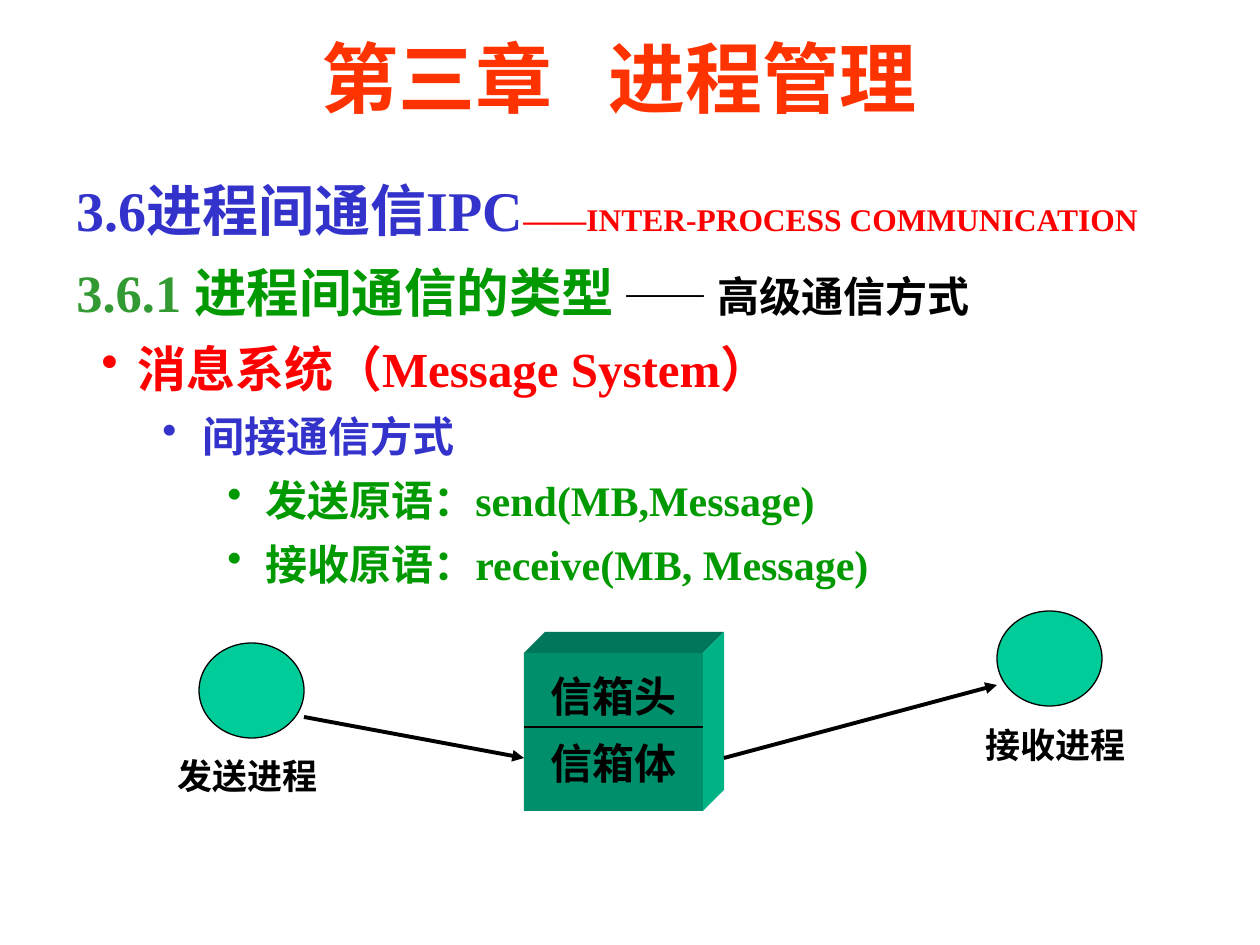
from lxml.etree import SubElement
from pptx import Presentation
from pptx.dml.color import RGBColor
from pptx.enum.shapes import MSO_CONNECTOR, MSO_SHAPE
from pptx.enum.text import MSO_ANCHOR, MSO_AUTO_SIZE, PP_ALIGN
from pptx.oxml.ns import qn
from pptx.util import Pt

SCALE = 914400 / 126
COLORS = {
    "title": "FF3300", "blue": "3333CC", "red": "FF0000", "teal": "339933",
    "green": "009900", "black": "000000", "circle": "00CC99",
    "front": "008F6B", "top": "007759", "side": "00B386",
}


def px(*lengths):
    return [round(v * SCALE) for v in lengths]


def write(p, runs, before=0):
    """Add (text, size, colour) runs to p; before is the space above in percent."""
    for text, size, color in runs:
        r = p.add_run()
        r.text = text
        r.font.name = "Times New Roman"
        r.font.size = Pt(size)
        r.font.bold = True
        r.font.color.rgb = RGBColor.from_string(COLORS[color])
    if before:
        p.space_before = Pt(0)
        spacing = p._p.pPr.find(qn("a:spcBef"))
        spacing.remove(spacing[0])
        SubElement(spacing, qn("a:spcPct"), val=str(before * 1000))


prs = Presentation()
prs.slide_width, prs.slide_height = px(1260, 945)
s = prs.slides.add_slide(prs.slide_layouts[6])

# Outline: level, left margin, indent, runs
outline = [
    (0, 0, 0, [("3.6进程间通信IPC", 32, "blue"),
               ("——INTER-PROCESS COMMUNICATION", 18, "red")]),
    (0, 0, 0, [("3.6.1 ", 30, "teal"), ("进程间通信的类型", 30, "green"),
               (" ", 24, "green"), ("—— 高级通信方式", 24, "black")]),
    (1, 61, -36, [("消息系统（Message System）", 28, "red")]),
    (2, 126, -40, [("间接通信方式", 24, "blue")]),
    (3, 189, -38, [("发送原语：send(MB,Message)", 24, "green")]),
    (3, 189, -38, [("接收原语：receive(MB, Message)", 24, "green")]),
]
tf = s.shapes.add_textbox(*px(64, 163, 1132, 441)).text_frame
tf.word_wrap = True
for i, (level, margin, indent, runs) in enumerate(outline):
    p = tf.add_paragraph() if i else tf.paragraphs[0]
    p.level = level
    p.line_spacing = 1.1
    write(p, runs, before=20)
    if level:
        pPr = p._p.get_or_add_pPr()
        pPr.set("marL", str(px(margin)[0]))
        pPr.set("indent", str(px(indent)[0]))
        SubElement(pPr, qn("a:buChar"), char="•")

# Mailbox: front face with an oblique top and side
left, top, right, bottom, depth = 524, 653, 703, 811, 21
faces = [
    ("top", [(left, top), (left + depth, top - depth),
             (right + depth, top - depth), (right, top)]),
    ("side", [(right, top), (right + depth, top - depth),
              (right + depth, bottom - depth), (right, bottom)]),
]
for color, points in faces:
    builder = s.shapes.build_freeform(*points[0], scale=SCALE)
    builder.add_line_segments(points[1:])
    sp = builder.convert_to_shape()
    sp.shadow.inherit = False
    sp.fill.solid()
    sp.fill.fore_color.rgb = RGBColor.from_string(COLORS[color])
    sp.line.fill.background()

front = s.shapes.add_shape(MSO_SHAPE.RECTANGLE, *px(left, top, right - left, bottom - top))
front.shadow.inherit = False
front.fill.solid()
front.fill.fore_color.rgb = RGBColor.from_string(COLORS["front"])
front.line.fill.background()
tf = front.text_frame
tf.word_wrap = False
tf.vertical_anchor = MSO_ANCHOR.MIDDLE
tf.margin_top = px(1)[0]
for i, text in enumerate(["信箱头", "信箱体"]):
    p = tf.add_paragraph() if i else tf.paragraphs[0]
    p.alignment = PP_ALIGN.CENTER
    write(p, [(text, 24, "black")], before=40)

# Processes: name, circle position, label position and width
processes = [
    ("发送进程", 199, 643, 165, 748, 168),
    ("接收进程", 997, 611, 973, 717, 173),
]
for name, x, y, label_x, label_y, label_w in processes:
    sp = s.shapes.add_shape(MSO_SHAPE.OVAL, *px(x, y, 105, 95))
    sp.shadow.inherit = False
    sp.fill.solid()
    sp.fill.fore_color.rgb = RGBColor.from_string(COLORS["circle"])
    sp.line.color.rgb = RGBColor.from_string(COLORS["black"])
    sp.line.width = Pt(0.75)
    tf = s.shapes.add_textbox(*px(label_x, label_y, label_w, 54)).text_frame
    tf.word_wrap = True
    tf.auto_size = MSO_AUTO_SIZE.SHAPE_TO_FIT_TEXT
    write(tf.paragraphs[0], [(name, 20, "black")], before=50)

# Mailbox divider and the two message arrows: ends, width, arrowhead
lines = [
    (left, 727, right, 727, 0.75, False),
    (304, 717, left, 758, 2.25, True),
    (right + depth, 758, 997, 685, 2.25, True),
]
for x1, y1, x2, y2, width, arrow in lines:
    line = s.shapes.add_connector(MSO_CONNECTOR.STRAIGHT, *px(x1, y1, x2, y2))
    line.line.color.rgb = RGBColor.from_string(COLORS["black"])
    line.line.width = Pt(width)
    if arrow:
        SubElement(line.line._get_or_add_ln(), qn("a:tailEnd"), type="triangle")
    SubElement(line._element.spPr, qn("a:effectLst"))

# Title, with the gap widened by character spacing
tf = s.shapes.add_textbox(*px(147, 9, 945, 136)).text_frame
tf.word_wrap = True
tf.vertical_anchor = MSO_ANCHOR.MIDDLE
p = tf.paragraphs[0]
p.alignment = PP_ALIGN.CENTER
write(p, [("第三章", 44, "title"), (" ", 44, "title"), ("进程管理", 44, "title")])
p.runs[1]._r.get_or_add_rPr().set("spc", "2200")

prs.save("out.pptx")
